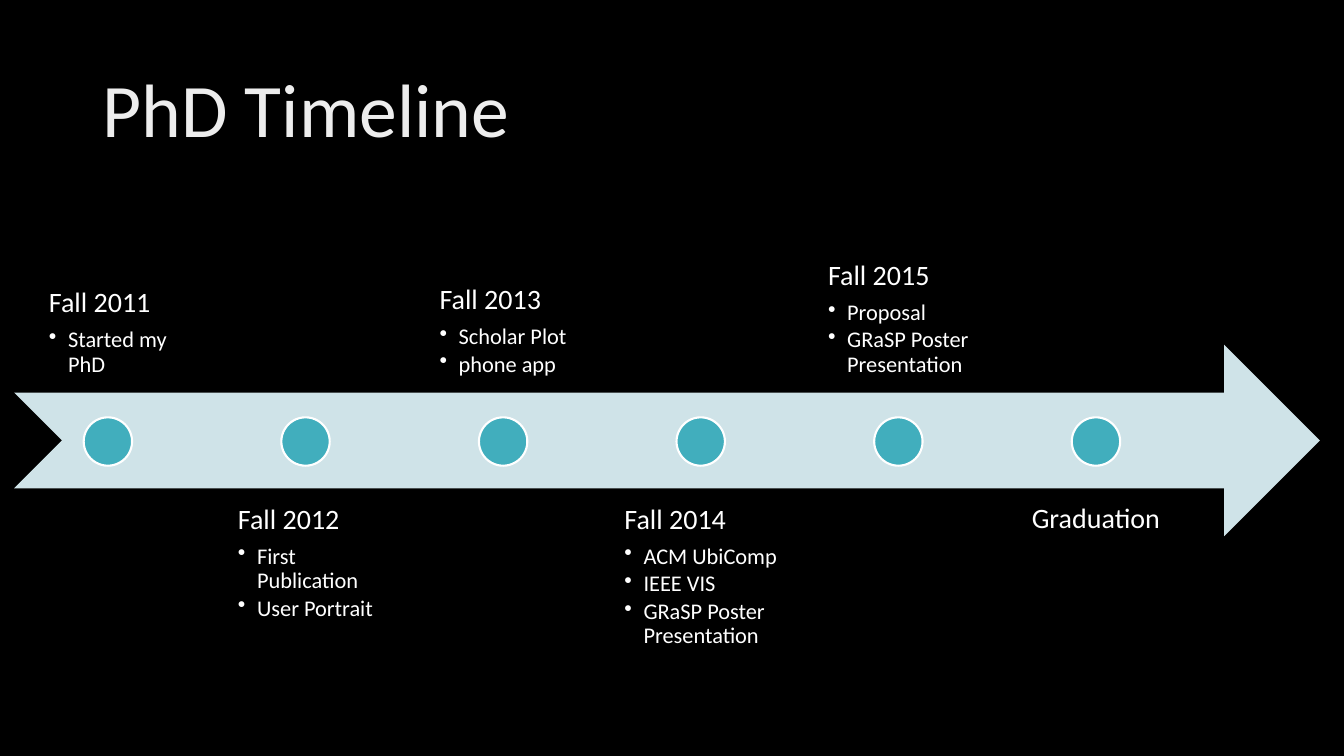
from dataclasses import dataclass

from lxml.etree import SubElement
from pptx import Presentation
from pptx.dml.color import RGBColor
from pptx.enum.shapes import MSO_SHAPE
from pptx.enum.text import MSO_ANCHOR
from pptx.oxml.ns import qn
from pptx.util import Inches, Pt


@dataclass(frozen=True)
class Theme:
    background: RGBColor = RGBColor(0x00, 0x00, 0x00)
    title: RGBColor = RGBColor(0xED, 0xED, 0xED)
    text: RGBColor = RGBColor(0xFF, 0xFF, 0xFF)
    arrow: RGBColor = RGBColor(0xCF, 0xE3, 0xE8)
    dot: RGBColor = RGBColor(0x41, 0xAE, 0xBD)
    font: str = "Calibri"
    title_size: Pt = Pt(54)
    date_size: Pt = Pt(20)
    event_size: Pt = Pt(16)


THEME = Theme()

# Timeline geometry in inches
TIMELINE_LEFT = 0.14
PITCH = 1.96
LABEL_WIDTH, LABEL_HEIGHT = 1.86, 1.9
LABEL_TOP_ABOVE, LABEL_TOP_BELOW = 2, 4.85
LABEL_INSET = 0.16
DOT_SIZE = 0.48

MILESTONES = [
    ("Fall 2011", ["Started my PhD"]),
    ("Fall 2012", ["First Publication", "User Portrait"]),
    ("Fall 2013", ["Scholar Plot", "phone app"]),
    ("Fall 2014", ["ACM UbiComp", "IEEE VIS", "GRaSP Poster Presentation"]),
    ("Fall 2015", ["Proposal", "GRaSP Poster Presentation"]),
    ("Graduation", []),
]


def write_line(paragraph, text, size, color, space_after=0):
    paragraph.text = text
    paragraph.line_spacing = 0.9
    paragraph.space_after = Pt(space_after)
    for run in paragraph.runs:
        run.font.name = THEME.font
        run.font.size = size
        run.font.color.rgb = color


def make_bullet(paragraph):
    properties = paragraph._p.get_or_add_pPr()
    properties.set("marL", str(Inches(0.19)))
    properties.set("indent", str(-Inches(0.19)))
    SubElement(properties, qn("a:buChar")).set("char", "•")


def add_text_frame(slide, left, top, width, height, anchor):
    box = slide.shapes.add_textbox(Inches(left), Inches(top), Inches(width), Inches(height))
    frame = box.text_frame
    frame.word_wrap = True
    frame.vertical_anchor = anchor
    return frame


def add_title(slide, text):
    frame = add_text_frame(slide, 0.92, 0.4, 11.5, 1.45, MSO_ANCHOR.MIDDLE)
    write_line(frame.paragraphs[0], text, THEME.title_size, THEME.title)


def add_filled_shape(slide, preset, left, top, width, height, color):
    shape = slide.shapes.add_shape(
        preset, Inches(left), Inches(top), Inches(width), Inches(height))
    shape.shadow.inherit = False
    shape.fill.solid()
    shape.fill.fore_color.rgb = color
    shape.line.fill.background()
    return shape


def add_dot(slide, left):
    dot = add_filled_shape(slide, MSO_SHAPE.OVAL, left, 4.14, DOT_SIZE, DOT_SIZE, THEME.dot)
    dot.line.color.rgb = THEME.text
    dot.line.width = Pt(1.5)


def add_label(slide, left, above, date, events):
    top = LABEL_TOP_ABOVE if above else LABEL_TOP_BELOW
    anchor = MSO_ANCHOR.BOTTOM if above else MSO_ANCHOR.TOP
    frame = add_text_frame(slide, left, top, LABEL_WIDTH, LABEL_HEIGHT, anchor)
    frame.margin_left = frame.margin_right = Inches(LABEL_INSET)
    frame.margin_top = frame.margin_bottom = Inches(LABEL_INSET)
    # Centre the left-aligned text block under its dot
    frame._txBody.bodyPr.set("anchorCtr", "1")

    write_line(frame.paragraphs[0], date, THEME.date_size, THEME.text, 7)
    for event in events:
        paragraph = frame.add_paragraph()
        make_bullet(paragraph)
        write_line(paragraph, event, THEME.event_size, THEME.text, 2.4)


def main():
    presentation = Presentation()
    presentation.slide_width = Inches(13.33)
    presentation.slide_height = Inches(7.5)
    slide = presentation.slides.add_slide(presentation.slide_layouts[6])
    slide.background.fill.solid()
    slide.background.fill.fore_color.rgb = THEME.background

    add_title(slide, "PhD Timeline")

    # Timeline arrow
    add_filled_shape(slide, MSO_SHAPE.NOTCHED_RIGHT_ARROW,
                     TIMELINE_LEFT, 3.42, 12.95, 1.9, THEME.arrow)

    # Milestones alternate above and below the arrow
    for index, (date, events) in enumerate(MILESTONES):
        left = TIMELINE_LEFT + index * PITCH
        add_label(slide, left, index % 2 == 0, date, events)
        add_dot(slide, left + (LABEL_WIDTH - DOT_SIZE) / 2)

    presentation.save("out.pptx")


if __name__ == "__main__":
    main()
